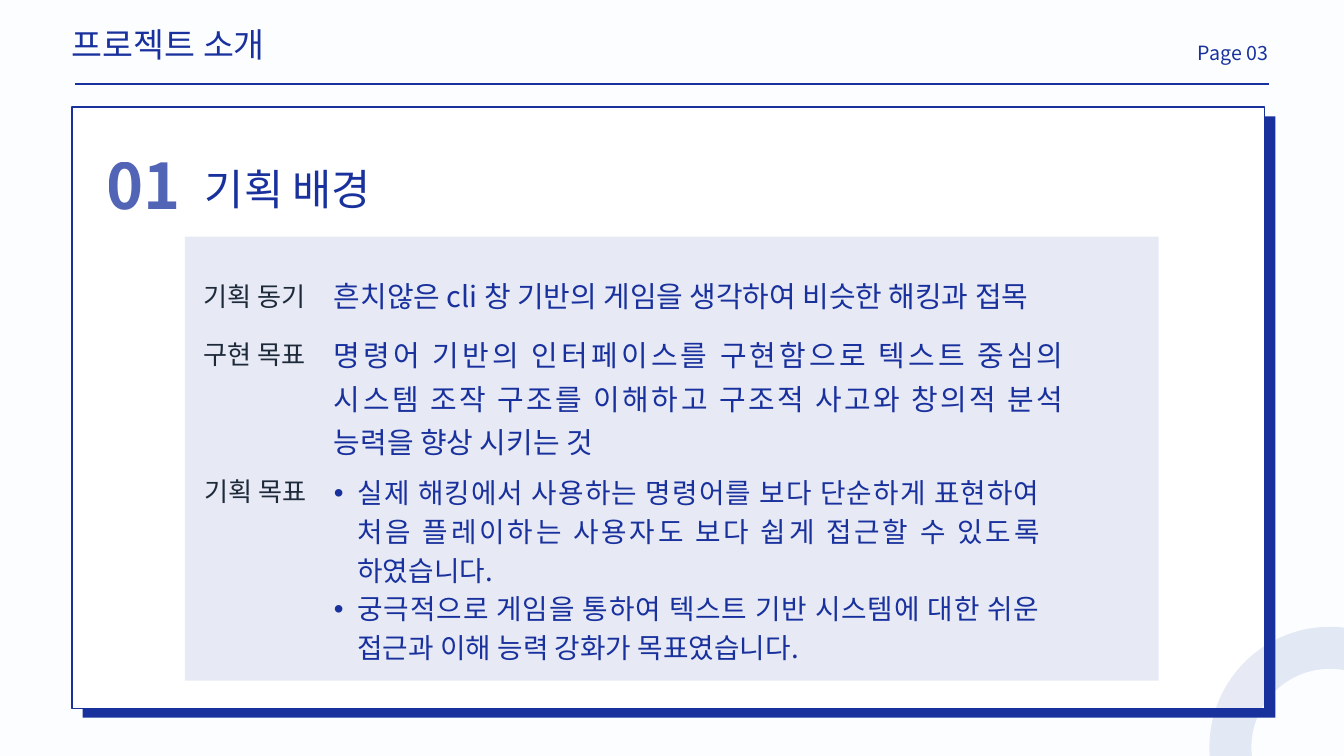
from dataclasses import dataclass

from lxml import etree
from pptx import Presentation
from pptx.dml.color import RGBColor
from pptx.enum.shapes import MSO_CONNECTOR, MSO_SHAPE
from pptx.enum.text import MSO_ANCHOR, MSO_AUTO_SIZE, PP_ALIGN
from pptx.oxml.ns import qn
from pptx.util import Inches, Pt


@dataclass(frozen=True)
class Theme:
    font: str = "Noto Sans CJK KR"
    navy: RGBColor = RGBColor(0x19, 0x31, 0x9D)
    ink: RGBColor = RGBColor(0x1D, 0x2A, 0x3A)
    white: RGBColor = RGBColor(0xFF, 0xFF, 0xFF)
    paper: RGBColor = RGBColor(0xFB, 0xFD, 0xFF)
    page_size: float = 21
    title_size: float = 36
    heading_size: float = 45.6
    number_size: float = 67.4
    label_size: float = 28
    body_size: float = 31
    bullet_size: float = 29.7


theme = Theme()


def set_alpha(element, percent):
    """Give the first colour inside the element an opacity."""
    colour = next(element.iter(qn("a:srgbClr")))
    etree.SubElement(colour, qn("a:alpha"), val=str(percent * 1000))


def write(box, place, lines, size, spacing, colour=theme.navy, align=PP_ALIGN.LEFT, bullet=None):
    """Place a text box or placeholder, and fill it with formatted paragraphs."""
    box.left, box.top, box.width, box.height = [Inches(value) for value in place]
    frame = box.text_frame
    frame.margin_left = frame.margin_top = frame.margin_right = frame.margin_bottom = 0
    frame.vertical_anchor = MSO_ANCHOR.TOP
    frame.word_wrap = True
    frame.auto_size = MSO_AUTO_SIZE.SHAPE_TO_FIT_TEXT
    frame.text = "\n".join(lines)
    for para in frame.paragraphs:
        para.alignment = align
        para.line_spacing = Pt(spacing)
        if bullet:
            para.level = 1
            properties = para._p.get_or_add_pPr()
            properties.set("marL", str(Inches(0.7)))
            properties.set("indent", str(Inches(-0.35)))
            etree.SubElement(properties, qn("a:buFont"), typeface="Arial")
            etree.SubElement(properties, qn("a:buChar"), char=bullet)
        for span in para.runs:
            span.font.name = theme.font
            span.font.size = Pt(size)
            span.font.color.rgb = colour
            etree.SubElement(span.font._element, qn("a:ea"), typeface=theme.font)
    return box


deck = Presentation()
deck.slide_width, deck.slide_height = Inches(20), Inches(11.25)
page = deck.slides.add_slide(deck.slide_layouts[5])
page.background.fill.solid()
page.background.fill.fore_color.rgb = theme.paper
shapes = page.shapes

# Card with its offset shadow, corner ring and tinted panel
for kind, place, fill, fill_alpha, line_width in [
    (MSO_SHAPE.RECTANGLE, (1.23, 1.73, 17.75, 8.95), theme.navy, None, None),
    (MSO_SHAPE.RECTANGLE, (1.07, 1.59, 17.75, 8.95), theme.white, None, 1.5),
    (MSO_SHAPE.OVAL, (18.31, 9.64, 2.96, 2.96), None, None, 45),
    (MSO_SHAPE.RECTANGLE, (2.75, 3.52, 14.49, 6.61), theme.navy, 10, None),
]:
    shape = shapes.add_shape(kind, *[Inches(value) for value in place])
    shape.shadow.inherit = False
    if fill is None:
        shape.fill.background()
    else:
        shape.fill.solid()
        shape.fill.fore_color.rgb = fill
    if line_width is None:
        shape.line.fill.background()
    else:
        shape.line.color.rgb = theme.navy
        shape.line.width = Pt(line_width)
    if fill_alpha:
        set_alpha(shape._element.spPr, fill_alpha)
    if kind == MSO_SHAPE.OVAL:
        set_alpha(shape.line._ln, 10)

# Header
rule = shapes.add_connector(
    MSO_CONNECTOR.STRAIGHT, Inches(1.12), Inches(1.25), Inches(18.88), Inches(1.25)
)
rule.line.color.rgb = theme.navy
rule.line.width = Pt(2.25)
etree.SubElement(rule._element.spPr, qn("a:effectLst"))

write(shapes.title, (1.07, 0.25, 5.69, 0.67), ["프로젝트 소개"], theme.title_size, 50.3)
page_number = shapes.add_textbox(0, 0, 0, 0)
write(page_number, (14, 0.52, 4.87, 0.42), ["Page 03"], theme.page_size, 32.1, align=PP_ALIGN.RIGHT)

# Section heading
heading = shapes.add_textbox(0, 0, 0, 0)
write(heading, (3.05, 2.3, 4.35, 0.84), ["기획 배경"], theme.heading_size, 63.8)
number = shapes.add_textbox(0, 0, 0, 0)
write(number, (1.59, 2, 1.46, 1.26), ["01"], theme.number_size, 94.4)
number_span = number.text_frame.paragraphs[0].runs[0]
number_span.font.bold = True
set_alpha(number_span._r, 74)

# Labelled rows
for label, label_left, label_top, place, lines, size, spacing, bullet in [
    ("기획 동기", 3.03, 4.17, (4.97, 4.04, 11.33, 0.6),
     ["흔치않은 cli 창 기반의 게임을 생각하여 비슷한 해킹과 접목"],
     theme.body_size, 44.9, None),
    ("구현 목표", 3.03, 5.03, (4.97, 4.9, 10.86, 1.89),
     ["명령어 기반의 인터페이스를 구현함으로 텍스트 중심의 시스템 조작 구조를 "
      "이해하고 구조적 사고와 창의적 분석 능력을 향상 시키는 것"],
     theme.body_size, 46.4, None),
    ("기획 목표", 3.05, 7.08, (4.62, 7, 10.86, 2.84),
     ["실제 해킹에서 사용하는 명령어를 보다 단순하게 표현하여 처음 플레이하는 "
      "사용자도 보다 쉽게 접근할 수 있도록 하였습니다.",
      "궁극적으로 게임을 통하여 텍스트 기반 시스템에 대한 쉬운 접근과 이해 능력 "
      "강화가 목표였습니다."],
     theme.bullet_size, 41.5, "•"),
]:
    label_box = shapes.add_textbox(0, 0, 0, 0)
    write(label_box, (label_left, label_top, 4.56, 0.45), [label], theme.label_size, 33.6, theme.ink)
    body_box = shapes.add_textbox(0, 0, 0, 0)
    write(body_box, place, lines, size, spacing, align=PP_ALIGN.JUSTIFY, bullet=bullet)

deck.save("out.pptx")
